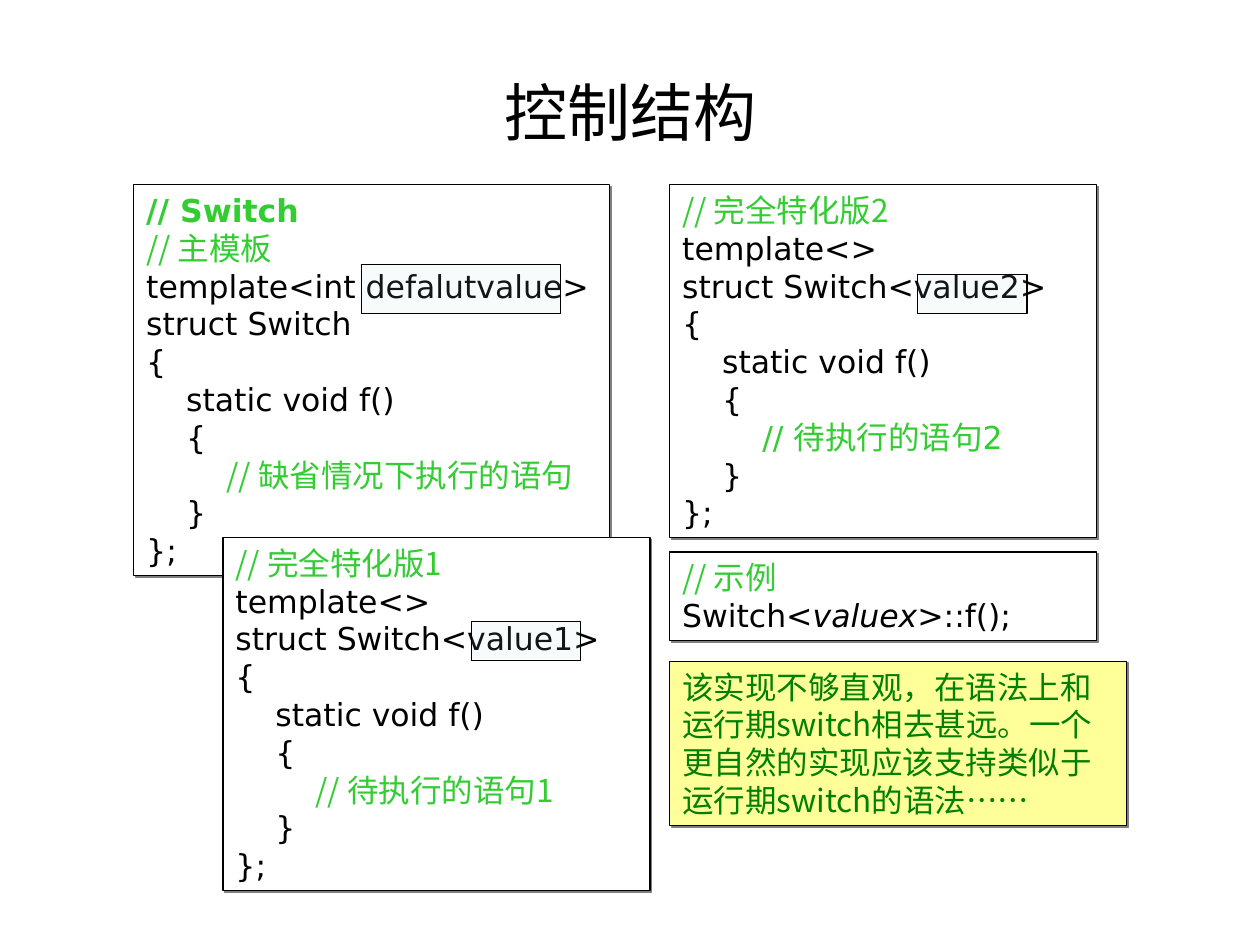
import pptx
import pptx.dml.color
import pptx.enum.shapes
import pptx.enum.text
import pptx.oxml
import pptx.oxml.ns
import pptx.util

Pt = pptx.util.Pt
RGBColor = pptx.dml.color.RGBColor
qn = pptx.oxml.ns.qn

BLACK = RGBColor(0x00, 0x00, 0x00)
WHITE = RGBColor(0xFF, 0xFF, 0xFF)
COMMENT_GREEN = RGBColor(0x33, 0xCC, 0x33)
NOTE_GREEN = RGBColor(0x00, 0x80, 0x00)
NOTE_YELLOW = RGBColor(0xFF, 0xFF, 0x99)
PALE_BLUE = RGBColor(0xBB, 0xE0, 0xE3)

CODE_FONT = "DejaVu Sans"
CHINESE_FONT = "Noto Sans CJK JP"
LINE_HEIGHT = 21.6
INSET_X, INSET_Y = 7.2, 3.6

SHADOW = (
    '<a:outerShdw xmlns:a="http://schemas.openxmlformats.org/drawingml/2006/main"'
    ' dist="17780" dir="2700000" algn="ctr" rotWithShape="0">'
    '<a:srgbClr val="808080"/></a:outerShdw>'
)


def write_span(para, text, font=CODE_FONT, size=18, color=BLACK, bold=False, italic=False):
    span = para.add_run()
    span.text = text
    span.font.name = font
    span.font.size = Pt(size)
    span.font.color.rgb = color
    span.font.bold = bold
    span.font.italic = italic
    east_asian = pptx.oxml.ns.qn("a:ea")
    properties = span._r.get_or_add_rPr()
    properties.makeelement(east_asian)
    latin = properties.find(qn("a:latin"))
    latin.addnext(properties.makeelement(east_asian, {"typeface": CHINESE_FONT}))


def code(text, **style):
    return text, style


def comment(text, font=CHINESE_FONT, **style):
    return text, dict(font=font, color=COMMENT_GREEN, **style)


def struct_body(statement):
    return [
        [code("{")],
        [code("    static void f()")],
        [code("    {")],
        [code("        "), statement],
        [code("    }")],
        [code("};")],
    ]


def specialization(number, statement_font):
    return [
        [comment(f"// 完全特化版{number}")],
        [code("template<>")],
        [code(f"struct Switch<value{number}>")],
        *struct_body(comment(f"// 待执行的语句{number}", font=statement_font)),
    ]


class SlideBuilder:
    def __init__(self, deck):
        self.page = deck.slides.add_slide(deck.slide_layouts[5])

    def title(self, text, left, top, width, height):
        box = self.page.shapes.title
        box.left, box.top, box.width, box.height = map(Pt, (left, top, width, height))
        frame = box.text_frame
        frame.vertical_anchor = pptx.enum.text.MSO_ANCHOR.MIDDLE
        para = frame.paragraphs[0]
        para.alignment = pptx.enum.text.PP_ALIGN.CENTER
        write_span(para, text, font="Arial", size=36)

    def rectangle(self, left, top, width, height, fill):
        box = self.page.shapes.add_shape(
            pptx.enum.shapes.MSO_SHAPE.RECTANGLE, *map(Pt, (left, top, width, height))
        )
        box.shadow.inherit = False
        box.fill.solid()
        box.fill.fore_color.rgb = fill
        box.line.color.rgb = BLACK
        box.line.width = Pt(0.75)
        return box

    def panel(self, lines, left, top, width, rows=None, fill=WHITE):
        height = (rows or len(lines)) * LINE_HEIGHT + 2 * INSET_Y
        box = self.rectangle(left, top, width, height, fill)
        effects = box._element.spPr.find(qn("a:effectLst"))
        effects.append(pptx.oxml.parse_xml(SHADOW))
        frame = box.text_frame
        frame.word_wrap = True
        frame.vertical_anchor = pptx.enum.text.MSO_ANCHOR.TOP
        frame.margin_left = frame.margin_right = Pt(INSET_X)
        frame.margin_top = frame.margin_bottom = Pt(INSET_Y)
        for index, line in enumerate(lines):
            para = frame.add_paragraph() if index else frame.paragraphs[0]
            para.alignment = pptx.enum.text.PP_ALIGN.LEFT
            para.line_spacing = Pt(LINE_HEIGHT)
            for text, style in line:
                write_span(para, text, **style)

    def highlight(self, left, top, width, height):
        box = self.rectangle(left, top, width, height, PALE_BLUE)
        color = box._element.spPr.find(qn("a:solidFill")).find(qn("a:srgbClr"))
        color.append(color.makeelement(qn("a:alpha"), {"val": "10000"}))


def main():
    deck = pptx.Presentation()
    deck.slide_width, deck.slide_height = Pt(720), Pt(540)
    slide = SlideBuilder(deck)
    slide.title("控制结构", 36, 33, 648, 61)

    # Primary template, with the first specialization overlapping it
    primary = [
        [comment("// Switch", font=CODE_FONT, bold=True)],
        [comment("// 主模板")],
        [code("template<int defalutvalue>")],
        [code("struct Switch")],
        *struct_body(comment("// 缺省情况下执行的语句")),
    ]
    top_row, right_column, panel_width = 105.6, 382.75, 244
    slide.panel(primary, 76.5, top_row, 272)
    slide.panel(specialization(1, CHINESE_FONT), 127.5, 307.2, panel_width)

    # Second specialization and usage example
    slide.panel(specialization(2, CODE_FONT), right_column, top_row, panel_width)
    example = [
        [comment("// 示例")],
        [code("Switch<"), code("valuex", italic=True), code(">::f();")],
    ]
    slide.panel(example, right_column, 315.5, panel_width)

    # Closing remark
    remark = (
        "该实现不够直观，在语法上和运行期switch相去甚远。"
        "一个更自然的实现应该支持类似于运行期switch的语法……"
    )
    remark_line = [code(remark, font=CHINESE_FONT, color=NOTE_GREEN)]
    slide.panel([remark_line], right_column, 378, 261, rows=4, fill=NOTE_YELLOW)

    # Frames around the template arguments
    slide.highlight(269.4, 355, 62.5, 22.5)
    slide.highlight(524.4, 156.75, 62.5, 22.5)
    slide.highlight(206.75, 151.2, 113.4, 28)

    deck.save("out.pptx")


if __name__ == "__main__":
    main()
